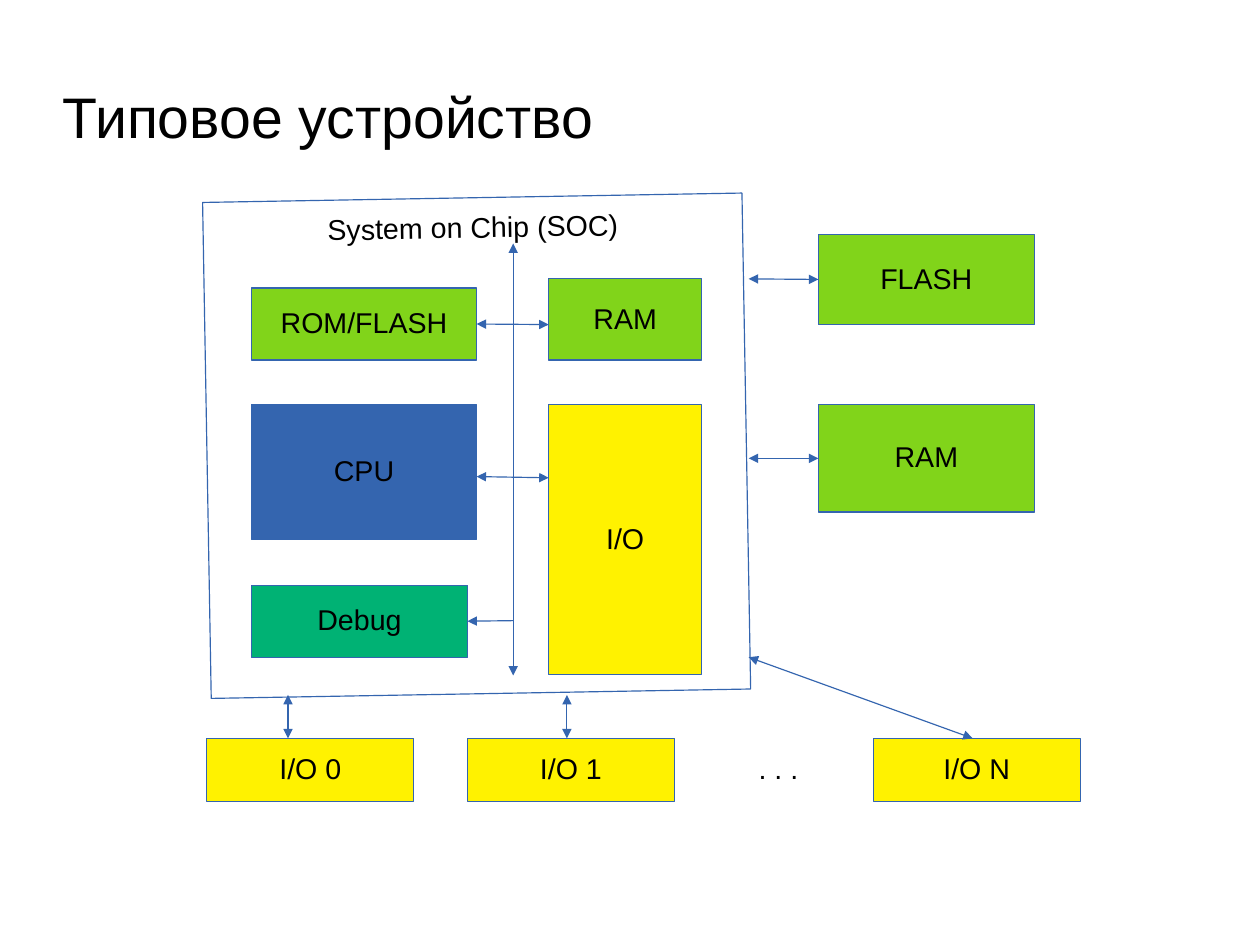
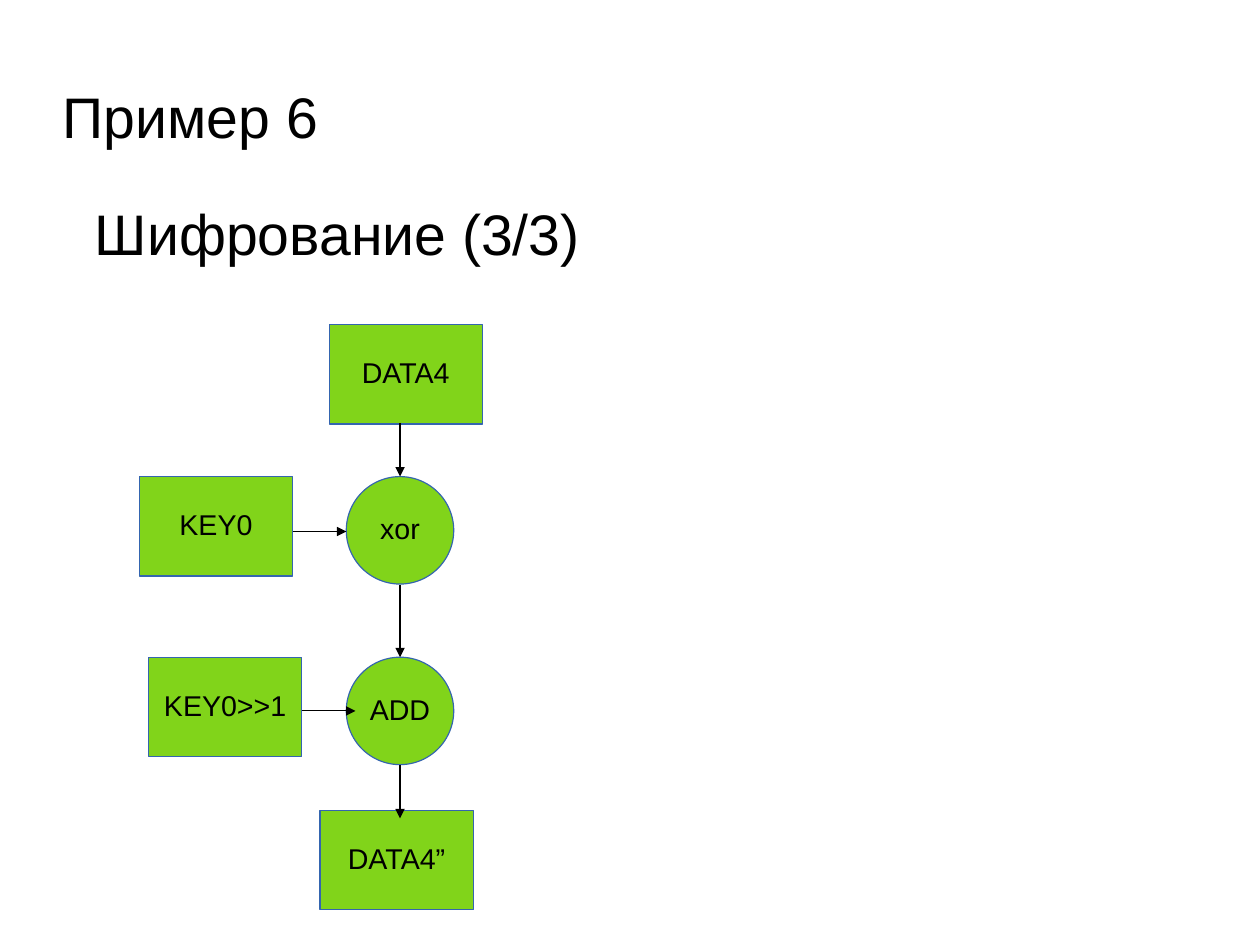
"""Build two slides: a typical device diagram and an encryption flow."""
from dataclasses import dataclass
from typing import Optional

from lxml.etree import SubElement
from pptx import Presentation
from pptx.dml.color import RGBColor
from pptx.enum.shapes import MSO_CONNECTOR, MSO_SHAPE
from pptx.enum.text import MSO_ANCHOR, PP_ALIGN
from pptx.oxml.ns import qn
from pptx.presentation import Presentation as Deck
from pptx.shapes.autoshape import Shape
from pptx.slide import Slide
from pptx.util import Inches, Pt


@dataclass(frozen=True)
class Theme:
    font: str = "Arial"
    title_size: int = 36
    label_size: int = 18
    line_width: float = 0.75
    line_spacing: float = 0.93
    text: str = "000000"
    outline: str = "3465AF"
    memory: str = "81D41A"
    processor: str = "3465AF"
    port: str = "FFF200"
    debug: str = "00B274"


@dataclass(frozen=True)
class Box:
    label: str
    left: float
    top: float
    width: float
    height: float
    fill: Optional[str] = None
    outline: Optional[str] = Theme.outline
    kind: MSO_SHAPE = MSO_SHAPE.RECTANGLE
    rotation: float = 0
    anchor: MSO_ANCHOR = MSO_ANCHOR.MIDDLE
    inset_top: float = 0.05


@dataclass(frozen=True)
class Arrow:
    start: tuple[float, float]
    end: tuple[float, float]
    color: str = Theme.outline
    head: bool = True
    tail: bool = True
    start_box: Optional[Box] = None
    start_side: int = 3
    end_box: Optional[Box] = None
    end_side: int = 1


THEME = Theme()
TOP, LEFT, RIGHT = 0, 1, 3
CENTIMETRES_PER_INCH = 2.54


def write_text(shape: Shape, text: str, size: int, align: PP_ALIGN) -> None:
    """Write one paragraph in the shared text style."""
    para = shape.text_frame.paragraphs[0]
    para.text = text
    para.alignment = align
    para.line_spacing = THEME.line_spacing
    para.font.name = THEME.font
    para.font.size = Pt(size)
    para.font.color.rgb = RGBColor.from_string(THEME.text)


def add_heading(page: Slide, text: str, left: float, top: float, width: float, height: float) -> None:
    """Add a large left-aligned heading."""
    shape = page.shapes.add_textbox(Inches(left), Inches(top), Inches(width), Inches(height))
    frame = shape.text_frame
    frame.word_wrap = True
    frame.vertical_anchor = MSO_ANCHOR.MIDDLE
    frame.margin_left = frame.margin_right = frame.margin_bottom = Inches(0)
    frame.margin_top = Inches(0.04)
    write_text(shape, text, THEME.title_size, PP_ALIGN.LEFT)


def add_box(page: Slide, box: Box) -> Shape:
    """Draw a labelled box."""
    shape = page.shapes.add_shape(
        box.kind, Inches(box.left), Inches(box.top), Inches(box.width), Inches(box.height)
    )
    shape.shadow.inherit = False
    shape.rotation = box.rotation
    if box.fill:
        shape.fill.solid()
        shape.fill.fore_color.rgb = RGBColor.from_string(box.fill)
    else:
        shape.fill.background()
    if box.outline:
        shape.line.color.rgb = RGBColor.from_string(box.outline)
        shape.line.width = Pt(THEME.line_width)
    else:
        shape.line.fill.background()
    frame = shape.text_frame
    frame.word_wrap = False
    frame.vertical_anchor = box.anchor
    frame.margin_top = Inches(box.inset_top)
    write_text(shape, box.label, THEME.label_size, PP_ALIGN.CENTER)
    return shape


def add_arrow(page: Slide, arrow: Arrow, shapes: dict[Box, Shape]) -> None:
    """Draw an arrow and join it to its boxes."""
    points = [Inches(value) for value in (*arrow.start, *arrow.end)]
    connector = page.shapes.add_connector(MSO_CONNECTOR.STRAIGHT, *points)
    if arrow.start_box:
        connector.begin_connect(shapes[arrow.start_box], arrow.start_side)
    if arrow.end_box:
        connector.end_connect(shapes[arrow.end_box], arrow.end_side)
    connector.line.color.rgb = RGBColor.from_string(arrow.color)
    connector.line.width = Pt(THEME.line_width)
    properties = connector.element.spPr
    line = properties.find(qn("a:ln"))
    for tag, shown in (("a:headEnd", arrow.head), ("a:tailEnd", arrow.tail)):
        if shown:
            SubElement(line, qn(tag), type="triangle")
    SubElement(properties, qn("a:effectLst"))


def add_page(deck: Deck, title: str, boxes: list[Box], arrows: list[Arrow]) -> Slide:
    """Add a titled page with a diagram."""
    page = deck.slides.add_slide(deck.slide_layouts[6])
    add_heading(page, title, 0.55, 0.63, 7.87, 0.79)
    shapes = {box: add_box(page, box) for box in boxes}
    for arrow in arrows:
        add_arrow(page, arrow, shapes)
    return page


def add_device_page(deck: Deck) -> None:
    """Add the block diagram of a typical device."""
    core_left, inner_left, outer_left = 2.2, 4.8, 7.16
    bus_x, chip_right, chip_bottom, port_top = 4.49, 6.55, 6.08, 6.46
    rom = Box("ROM/FLASH", core_left, 2.52, 1.97, 0.63, THEME.memory)
    debug = Box("Debug", core_left, 5.12, 1.89, 0.63, THEME.debug)
    flash = Box("FLASH", outer_left, 2.05, 1.89, 0.79, THEME.memory)
    memory = Box("RAM", outer_left, 3.54, 1.89, 0.94, THEME.memory)
    boxes = [
        Box("CPU", core_left, 3.54, 1.97, 1.18, THEME.processor),
        rom,
        Box("RAM", inner_left, 2.44, 1.34, 0.71, THEME.memory),
        Box("I/O", inner_left, 3.54, 1.34, 2.36, THEME.port),
        Box("System on Chip (SOC)", 1.81, 1.73, 4.72, 4.34,
            rotation=359, anchor=MSO_ANCHOR.TOP, inset_top=0.13),
        debug,
        flash,
        memory,
        Box(". . .", 6.3, port_top, 1.02, 0.55, outline=None),
    ]
    boxes += [
        Box(f"I/O {name}", left, port_top, 1.81, 0.55, THEME.port)
        for name, left in (("0", 1.81), ("1", 4.09), ("N", 7.64))
    ]
    arrows = [
        Arrow((bus_x, 2.13), (bus_x, 5.91)),
        Arrow((4.17, 2.84), (inner_left, 2.84), start_box=rom, start_side=RIGHT),
        Arrow((4.17, 4.17), (inner_left, 4.18)),
        Arrow((4.09, 5.43), (bus_x, 5.43), tail=False, start_box=debug, start_side=RIGHT),
        Arrow((chip_right, 2.44), (outer_left, 2.44), end_box=flash, end_side=LEFT),
        Arrow((chip_right, 4.01), (outer_left, 4.01), end_box=memory, end_side=LEFT),
        Arrow((chip_right, 5.75), (8.51, port_top)),
    ]
    arrows += [Arrow((x, chip_bottom), (x, port_top)) for x in (2.52, 4.96)]
    add_page(deck, "Типовое устройство", boxes, arrows)


def add_encryption_page(deck: Deck) -> None:
    """Add the data flow of the encryption example."""
    flow_x, diameter = 3.5, 0.94
    xor, add = (
        Box(label, flow_x - diameter / 2, top, diameter, diameter, THEME.memory, kind=MSO_SHAPE.OVAL)
        for label, top in (("xor", 4.17), ("ADD", 5.75))
    )
    boxes = [
        Box(label, left, top, 1.34, 0.87, THEME.memory)
        for label, left, top in (
            ("DATA4”", 2.8, 7.09),
            ("DATA4", 2.88, 2.84),
            ("KEY0", 1.22, 4.17),
            ("KEY0>>1", 1.3, 5.75),
        )
    ]
    arrows = [
        Arrow(start, end, THEME.text, head=False, end_box=target, end_side=TOP)
        for start, end, target in (
            ((flow_x, 3.7), (flow_x, xor.top), xor),
            ((flow_x, 5.12), (flow_x, add.top), add),
            ((flow_x, 6.69), (flow_x, 7.16), None),
            ((2.56, 4.65), (3.03, 4.65), None),
            ((2.64, 6.22), (3.11, 6.22), None),
        )
    ]
    page = add_page(deck, "Пример 6", [*boxes, xor, add], arrows)
    add_heading(page, "Шифрование (3/3)", 0.83, 1.18, 8.82, 1.73)


def main() -> None:
    """Build and save the deck."""
    deck = Presentation()
    deck.slide_width = Inches(28 / CENTIMETRES_PER_INCH)
    deck.slide_height = Inches(21 / CENTIMETRES_PER_INCH)
    add_device_page(deck)
    add_encryption_page(deck)
    deck.save("out.pptx")


if __name__ == "__main__":
    main()
